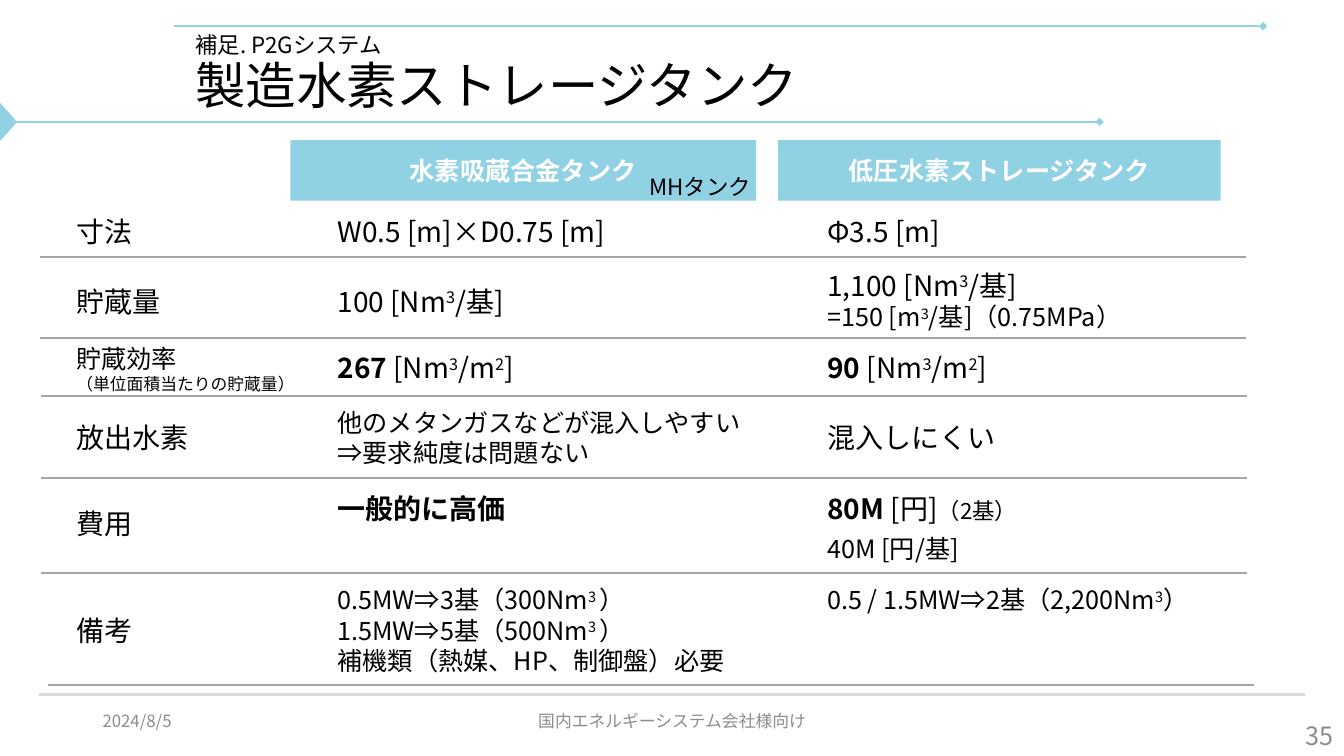
import pptx
import pptx.dml.color
import pptx.enum.shapes
import pptx.enum.text
import pptx.oxml.ns
import pptx.util
from lxml import etree

Pt = pptx.util.Pt
ANCHOR = pptx.enum.text.MSO_ANCHOR
ALIGN = pptx.enum.text.PP_ALIGN
AUTO = pptx.enum.text.MSO_AUTO_SIZE
qn = pptx.oxml.ns.qn
rgb = pptx.dml.color.RGBColor.from_string

theme = {
    "font": "Noto Sans CJK JP",
    "accent": rgb("90D2E4"),
    "text": rgb("000000"),
    "white": rgb("FFFFFF"),
    "muted": rgb("8C8C8C"),
    "rule": rgb("A6A6A6"),
    "footer_rule": rgb("D9D9D9"),
    "title": 36,
    "large": 20,
    "body": 18,
    "small": 16,
    "note": 12,
}

deck = pptx.Presentation()
deck.slide_width, deck.slide_height = Pt(960), Pt(540)
page = deck.slides.add_slide(deck.slide_layouts[6])


def write(box, paragraphs, size="large", color="text", align=ALIGN.LEFT, anchor=ANCHOR.TOP, spacing=None):
    frame = box.text_frame
    frame.word_wrap = True
    frame.vertical_anchor = anchor
    if anchor == ANCHOR.TOP:
        frame.auto_size = AUTO.SHAPE_TO_FIT_TEXT
    for index, runs in enumerate(paragraphs):
        para = frame.paragraphs[0] if index == 0 else frame.add_paragraph()
        para.alignment = align
        para.line_spacing = spacing
        for text, *styles in runs:
            span = para.add_run()
            span.text = text
            sizes = [style for style in styles if style in theme]
            span.font.size = Pt(theme[sizes[0] if sizes else size])
            span.font.bold = "bold" in styles
            span.font.color.rgb = theme[color]
            span.font.name = theme["font"]
            properties = span.font._element
            etree.SubElement(properties, qn("a:ea"), typeface=theme["font"])
            if "super" in styles:
                properties.set("baseline", "30000")


def draw_line(left, right, y, color, diamond=False):
    line = page.shapes.add_connector(
        pptx.enum.shapes.MSO_CONNECTOR.STRAIGHT, Pt(left), Pt(y), Pt(right), Pt(y))
    line.line.color.rgb = theme[color]
    line.line.width = Pt(1.5)
    if diamond:
        etree.SubElement(line.line._get_or_add_ln(), qn("a:tailEnd"), type="diamond")
    etree.SubElement(line._element.spPr, qn("a:effectLst"))


draw_line(28, 932.4, 496.1, "footer_rule")
draw_line(124.6, 902.2, 18.7, "accent", True)
draw_line(7.9, 785.5, 87.1, "accent", True)

outline = page.shapes.build_freeform(Pt(0), Pt(73.4))
outline.add_line_segments([(Pt(12.2), Pt(87.1)), (Pt(0), Pt(100.8))])
arrow = outline.convert_to_shape()
arrow.shadow.inherit = False
arrow.fill.solid()
arrow.fill.fore_color.rgb = theme["accent"]
arrow.line.fill.background()

for left, top, width, height, text, size, color, align, spacing in [
    (132.5, 20.9, 187.9, 23.8, "補足. P2Gシステム", "small", "text", ALIGN.LEFT, 0.9),
    (132.5, 44.6, 777.6, 36.7, "製造水素ストレージタンク", "title", "text", ALIGN.LEFT, 0.9),
    (66.2, 500.4, 216, 28.8, "2024/8/5", "note", "muted", ALIGN.LEFT, None),
    (318.2, 500.4, 324, 28.8, "国内エネルギーシステム会社様向け", "note", "muted", ALIGN.CENTER, None),
    (743.8, 511.2, 216, 28.8, "35", "body", "muted", ALIGN.RIGHT, None),
]:
    box = page.shapes.add_textbox(Pt(left), Pt(top), Pt(width), Pt(height))
    write(box, [[(text,)]], size, color, align, ANCHOR.MIDDLE, spacing)

for left, width, text in [
    (207.4, 332.6, "水素吸蔵合金タンク"),
    (555.8, 316.1, "低圧水素ストレージタンク"),
]:
    header = page.shapes.add_shape(
        pptx.enum.shapes.MSO_SHAPE.RECTANGLE, Pt(left), Pt(100.1), Pt(width), Pt(43.2))
    header.shadow.inherit = False
    header.fill.solid()
    header.fill.fore_color.rgb = theme["accent"]
    header.line.fill.background()
    write(header, [[(text, "bold")]], "body", "white", ALIGN.CENTER, ANCHOR.MIDDLE)

box = page.shapes.add_textbox(Pt(452.9), Pt(120.2), Pt(94.3), Pt(26.6))
write(box, [[("MHタンク",)]], "small", align=ALIGN.CENTER)

for left, y in [(28.8, 183.6), (28.8, 241.2), (29.5, 283), (29.5, 341.3), (29.5, 409), (34.6, 489.6)]:
    draw_line(left, left + 861.1, y, "rule")

cubic = ("3", "super")
cubic_spaced = ("3 ", "super")
density = [(" [Nm",), cubic, ("/m",), ("2", "super"), ("]",)]

columns = [
    (47.5, 177.1, [
        (149.8, 31.7, "large", [[("寸法",)]]),
        (199.4, 31.7, "large", [[("貯蔵量",)]]),
        (241.9, 43.9, "body", [[("貯蔵効率",)], [("（単位面積当たりの貯蔵量）", "note")]]),
        (296.6, 31.7, "large", [[("放出水素",)]]),
        (358.6, 31.7, "large", [[("費用",)]]),
        (434.9, 31.7, "large", [[("備考",)]]),
    ]),
    (234, 305.3, [
        (149.8, 31.7, "large", [[("W0.5 [m]×D0.75 [m]",)]]),
        (199.4, 31.7, "large", [[("100 [Nm",), cubic, ("/基]",)]]),
        (247, 31.7, "large", [[("267", "bold")] + density]),
        (287.3, 51.1, "body", [[("他のメタンガスなどが混入しやすい",)], [("⇒要求純度は問題ない",)]]),
        (347.8, 31.7, "large", [[("一般的に高価", "bold")]]),
        (414, 72.7, "body", [
            [("0.5MW⇒3基（300Nm",), cubic_spaced, ("）",)],
            [("1.5MW⇒5基（500Nm",), cubic_spaced, ("）",)],
            [("補機類（熱媒、HP、制御盤）必要",)],
        ]),
    ]),
    (583.9, 284.4, [
        (149.8, 31.7, "large", [[("Φ3.5 [m]",)]]),
        (187.9, 53.3, "large", [
            [("1,100 [Nm",), cubic, ("/基]",)],
            [("=150 [m", "body"), (*cubic, "body"), ("/基]（0.75MPa）", "body")],
        ]),
        (247, 31.7, "large", [[("90", "bold")] + density]),
        (296.6, 31.7, "large", [[("混入しにくい",)]]),
        (347.8, 31.7, "large", [[("80M", "bold"), (" [円]",), ("（2基）", "small")]]),
        (377.3, 28.8, "body", [[("40M [円/基]",)]]),
        (414, 28.8, "body", [[("0.5 / 1.5MW⇒2基（2,200Nm",), cubic, ("）",)]]),
    ]),
]
for left, width, cells in columns:
    for top, height, size, paragraphs in cells:
        box = page.shapes.add_textbox(Pt(left), Pt(top), Pt(width), Pt(height))
        write(box, paragraphs, size)

deck.save("out.pptx")
